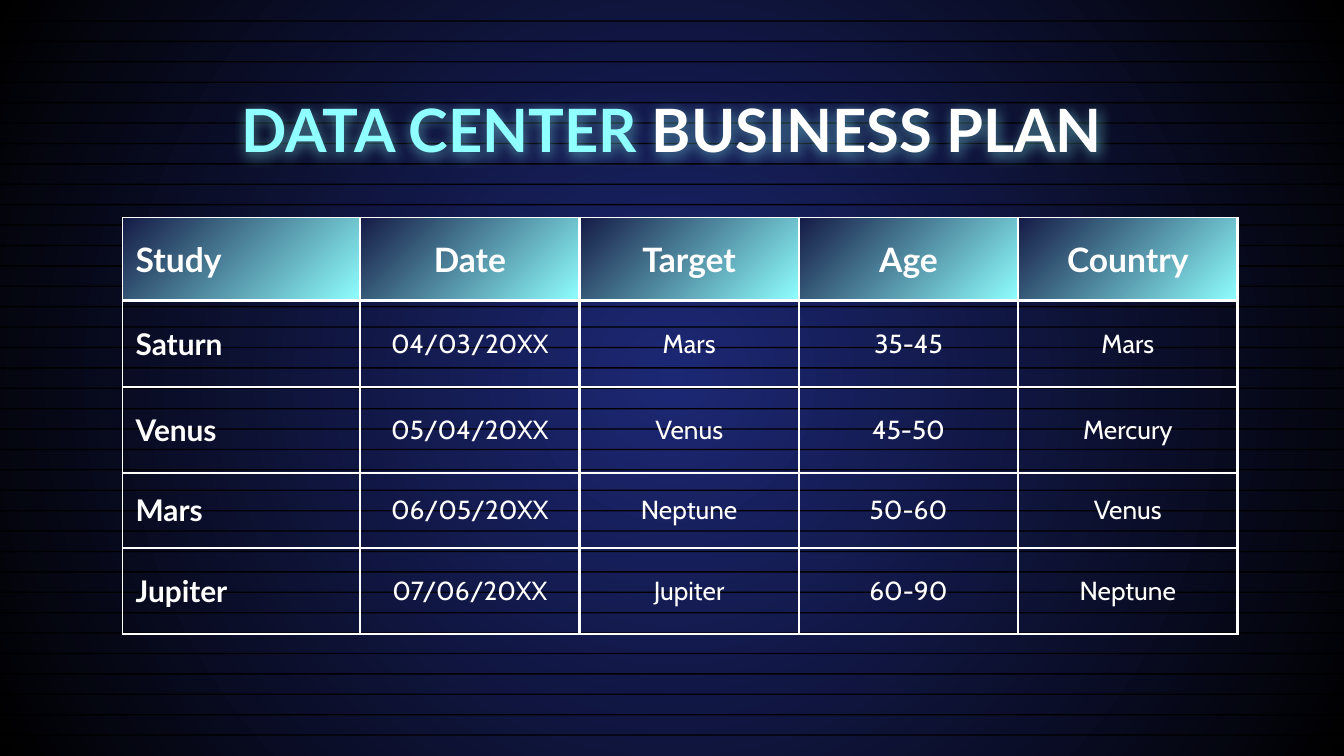
"""Build the data center business plan slide with its study table."""
from lxml import etree
from pptx import Presentation
from pptx.dml.color import RGBColor
from pptx.enum.shapes import MSO_SHAPE
from pptx.enum.text import MSO_ANCHOR, PP_ALIGN
from pptx.oxml import parse_xml
from pptx.oxml.ns import nsdecls, qn
from pptx.util import Pt

RECTANGLE = MSO_SHAPE.RECTANGLE
LEFT, CENTER = PP_ALIGN.LEFT, PP_ALIGN.CENTER
MIDDLE = MSO_ANCHOR.MIDDLE

COLORS = {
    "white": "FFFFFF",
    "cyan": "8FFFFF",
    "navy": "151B46",
    "blue": "1D2875",
    "black": "000000",
}
TITLE = [("DATA CENTER ", "cyan"), ("BUSINESS PLAN", "white")]
ROWS = [
    ("Study", "Date", "Target", "Age", "Country"),
    ("Saturn", "04/03/20XX", "Mars", "35-45", "Mars"),
    ("Venus", "05/04/20XX", "Venus", "45-50", "Mercury"),
    ("Mars", "06/05/20XX", "Neptune", "50-60", "Venus"),
    ("Jupiter", "07/06/20XX", "Jupiter", "60-90", "Neptune"),
]
SLIDE_WIDTH, SLIDE_HEIGHT = 720, 405
TABLE_LEFT, TABLE_TOP = 65.5, 116.5
COLUMN_WIDTHS = [127.5] + [117.5] * 4
ROW_HEIGHTS = [44.6, 46.1, 46.1, 40.3, 46.1]
STRIPE_COUNT, STRIPE_PITCH, STRIPE_HEIGHT = 36, 10.93, 0.75
INSET = 7.2


def rgb(name):
    return RGBColor.from_string(COLORS[name])


def write(frame, runs, size, font="Lato", bold=True, align=CENTER):
    frame.word_wrap = True
    paragraph = frame.paragraphs[0]
    paragraph.alignment = align
    for text, color in runs:
        run = paragraph.add_run()
        run.text = text
        run.font.size = Pt(size)
        run.font.name = font
        run.font.bold = bold
        run.font.color.rgb = rgb(color)


def set_gradient(fill, colors):
    fill.gradient()
    fill.gradient_angle = 315
    for stop, color in zip(fill.gradient_stops, colors):
        stop.color.rgb = rgb(color)


def set_margins(target):
    target.margin_left = target.margin_right = Pt(INSET)
    target.margin_top = target.margin_bottom = Pt(INSET)


def set_borders(cell, widths):
    properties = cell._tc.get_or_add_tcPr()
    for side, width in widths.items():
        line = etree.SubElement(properties, qn(f"a:ln{side}"), w=str(Pt(width)))
        fill = etree.SubElement(line, qn("a:solidFill"))
        etree.SubElement(fill, qn("a:srgbClr"), val=COLORS["white"])


def add_background(slide):
    set_gradient(slide.background.fill, ("blue", "black"))
    linear = slide.element.find(".//" + qn("a:lin"))
    linear.getparent().replace(linear, parse_xml(
        f'<a:path {nsdecls("a")} path="circle">'
        '<a:fillToRect l="50000" t="50000" r="50000" b="50000"/></a:path>'))
    for index in range(1, STRIPE_COUNT + 1):
        stripe = slide.shapes.add_shape(
            RECTANGLE, 0, Pt(index * STRIPE_PITCH), Pt(SLIDE_WIDTH), Pt(STRIPE_HEIGHT))
        stripe.shadow.inherit = False
        stripe.fill.solid()
        stripe.fill.fore_color.rgb = rgb("black")
        stripe.line.fill.background()


def add_title(slide):
    title = slide.shapes.add_textbox(Pt(56.2), Pt(42.5), Pt(607.6), Pt(44.6))
    set_margins(title.text_frame)
    write(title.text_frame, TITLE, 32)
    title.element.spPr.append(parse_xml(
        f'<a:effectLst {nsdecls("a")}>'
        f'<a:outerShdw blurRad="{Pt(7)}" dist="{Pt(1.5)}" dir="5400000" algn="bl" rotWithShape="0">'
        f'<a:srgbClr val="{COLORS["cyan"]}"><a:alpha val="50000"/></a:srgbClr>'
        '</a:outerShdw></a:effectLst>'))


def add_table(slide):
    table = slide.shapes.add_table(
        len(ROWS), len(COLUMN_WIDTHS), Pt(TABLE_LEFT), Pt(TABLE_TOP),
        Pt(sum(COLUMN_WIDTHS)), Pt(sum(ROW_HEIGHTS))).table
    table.first_row = table.horz_banding = False
    for column, width in zip(table.columns, COLUMN_WIDTHS):
        column.width = Pt(width)
    for row, height in zip(table.rows, ROW_HEIGHTS):
        row.height = Pt(height)
    for row_index, values in enumerate(ROWS):
        for column_index, text in enumerate(values):
            cell = table.cell(row_index, column_index)
            is_header, is_label = row_index == 0, column_index == 0
            set_margins(cell)
            cell.vertical_anchor = MIDDLE
            set_borders(cell, {"L": 0.75 if is_label else 1.5, "R": 1.5,
                               "T": 0.75 if is_header else 1.5, "B": 1.5})
            if is_header:
                set_gradient(cell.fill, ("navy", "cyan"))
            else:
                cell.fill.background()
            strong = is_header or is_label
            write(cell.text_frame, [(text, "white")],
                  size=18 if is_header else 16 if is_label else 14,
                  font="Lato" if strong else "Cabin", bold=strong,
                  align=LEFT if is_label else CENTER)


def main():
    presentation = Presentation()
    presentation.slide_width = Pt(SLIDE_WIDTH)
    presentation.slide_height = Pt(SLIDE_HEIGHT)
    slide = presentation.slides.add_slide(presentation.slide_layouts[6])
    add_background(slide)
    add_title(slide)
    add_table(slide)
    presentation.save("out.pptx")


if __name__ == "__main__":
    main()
